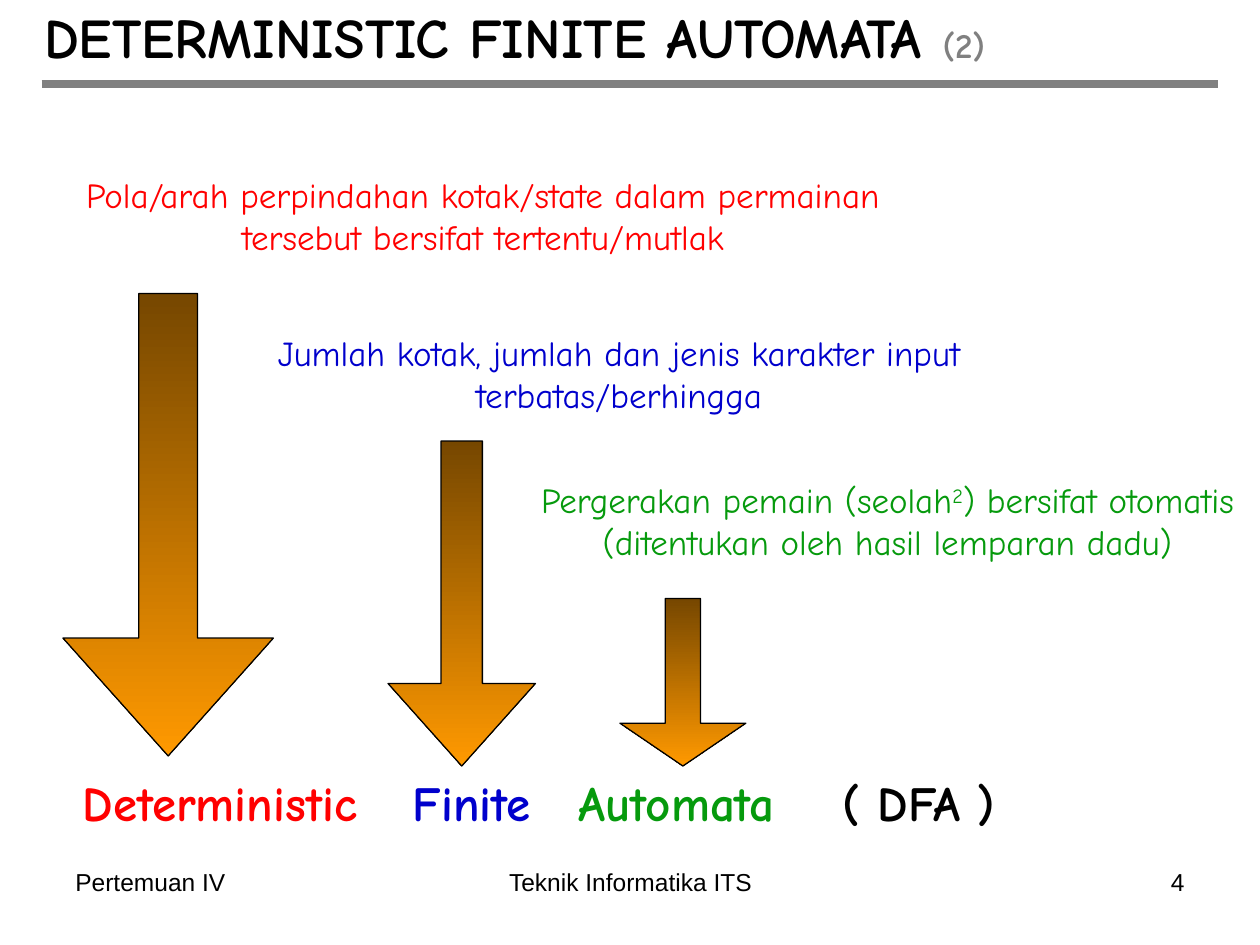
from lxml.etree import SubElement
from pptx import Presentation
from pptx.dml.color import RGBColor
from pptx.enum.shapes import MSO_CONNECTOR, MSO_SHAPE
from pptx.enum.text import MSO_ANCHOR, MSO_AUTO_SIZE, PP_ALIGN
from pptx.oxml.ns import qn
from pptx.util import Inches, Pt

BLACK = RGBColor(0x00, 0x00, 0x00)
GRAY = RGBColor(0x80, 0x80, 0x80)
RED = RGBColor(0xFF, 0x00, 0x00)
BLUE = RGBColor(0x00, 0x00, 0xCC)
GREEN = RGBColor(0x06, 0x9A, 0x0D)
BROWN = RGBColor(0x76, 0x47, 0x00)
ORANGE = RGBColor(0xFF, 0x99, 0x00)
HEADING_FONT = "Comic Neue"
FOOTER_FONT = "Arial"

EXPLANATIONS = [
    (["Pola/arah perpindahan kotak/state dalam permainan tersebut bersifat tertentu/mutlak"],
     (0.25, 1.33, 7.17, 0.75), RED),
    (["Jumlah kotak, jumlah dan jenis karakter input terbatas/berhingga"],
     (2.08, 2.58, 5.67, 0.75), BLUE),
    (["Pergerakan pemain (seolah", "2", ") bersifat otomatis (ditentukan oleh hasil lemparan dadu)"],
     (4.17, 3.75, 5.75, 1.17), GREEN),
]
TERMS = [
    ("Deterministic", 0.33, 2.83, RED),
    ("Finite", 3.08, 1.33, BLUE),
    ("Automata", 4.33, 2.08, GREEN),
    ("( DFA )", 6.42, 1.75, BLACK),
]
ARROWS = [
    ((0.5, 2.33, 1.67, 3.67), 0.56),
    ((3.08, 3.5, 1.17, 2.58), 0.56),
    ((4.92, 4.75, 1, 1.33), 0.34),
]
FOOTERS = [
    ("Pertemuan IV", 0.5, 2.33, PP_ALIGN.LEFT),
    ("Teknik Informatika ITS", 3.42, 3.17, PP_ALIGN.CENTER),
    ("4", 7.17, 2.33, PP_ALIGN.RIGHT),
]


def add_run(paragraph, text, size, color, font_name, bold=False):
    """Append a formatted run to the paragraph and return it."""
    run = paragraph.add_run()
    run.text = text
    run.font.size = Pt(size)
    run.font.name = font_name
    run.font.bold = bold
    run.font.color.rgb = color
    return run


def add_text(slide, box, alignment):
    """Add a wrapping text box and return its first paragraph."""
    shape = slide.shapes.add_textbox(*map(Inches, box))
    shape.text_frame.word_wrap = True
    paragraph = shape.text_frame.paragraphs[0]
    paragraph.alignment = alignment
    return paragraph


def add_title(slide):
    """Fill the title placeholder and draw the rule below it."""
    title = slide.shapes.title
    title.left, title.top, title.width, title.height = map(Inches, (0.25, 0, 9.42, 0.58))
    title.text_frame.auto_size = MSO_AUTO_SIZE.NONE
    title.text_frame.vertical_anchor = MSO_ANCHOR.MIDDLE
    paragraph = title.text_frame.paragraphs[0]
    paragraph.alignment = PP_ALIGN.LEFT
    add_run(paragraph, "DETERMINISTIC FINITE AUTOMATA ", 32, BLACK, HEADING_FONT, True)
    add_run(paragraph, "(2)", 20, GRAY, HEADING_FONT, True)
    rule = slide.shapes.add_connector(
        MSO_CONNECTOR.STRAIGHT, *map(Inches, (0.33, 0.67, 9.67, 0.67)))
    rule.line.color.rgb = GRAY
    rule.line.width = Pt(4.5)
    SubElement(rule._element.spPr, qn("a:effectLst"))


def add_explanation(slide, parts, box, color):
    """Add a centred explanation whose second part, if any, is superscript."""
    paragraph = add_text(slide, box, PP_ALIGN.CENTER)
    paragraph.space_before = Pt(4)
    for index, part in enumerate(parts):
        run = add_run(paragraph, part, 20, color, HEADING_FONT)
        if index == 1:
            run._r.get_or_add_rPr().set("baseline", "30000")


def add_term(slide, text, left, width, color):
    """Add one bold word of the bottom row."""
    paragraph = add_text(slide, (left, 6.08, width, 0.5), PP_ALIGN.CENTER)
    paragraph.space_before = Pt(5.6)
    add_run(paragraph, text, 28, color, HEADING_FONT, True)


def add_arrow(slide, box, head_ratio):
    """Add a down arrow with a vertical gradient."""
    arrow = slide.shapes.add_shape(MSO_SHAPE.DOWN_ARROW, *map(Inches, box))
    arrow.shadow.inherit = False
    arrow.adjustments[0] = 0.28
    arrow.adjustments[1] = head_ratio
    arrow.fill.gradient()
    arrow.fill.gradient_angle = 270
    for stop, color in zip(arrow.fill.gradient_stops, (BROWN, ORANGE)):
        stop.color.rgb = color
    arrow.line.color.rgb = BLACK
    arrow.line.width = Pt(0.75)


def add_footer(slide, text, left, width, alignment):
    """Add one footer text."""
    paragraph = add_text(slide, (left, 6.83, width, 0.52), alignment)
    add_run(paragraph, text, 14, BLACK, FOOTER_FONT)


def main():
    """Build and save the slide."""
    presentation = Presentation()
    presentation.slide_width = Inches(10)
    presentation.slide_height = Inches(7.5)
    slide = presentation.slides.add_slide(presentation.slide_layouts[5])
    add_title(slide)
    for footer in FOOTERS:
        add_footer(slide, *footer)
    for explanation in EXPLANATIONS:
        add_explanation(slide, *explanation)
    for term in TERMS:
        add_term(slide, *term)
    for arrow in ARROWS:
        add_arrow(slide, *arrow)
    presentation.save("out.pptx")


if __name__ == "__main__":
    main()
